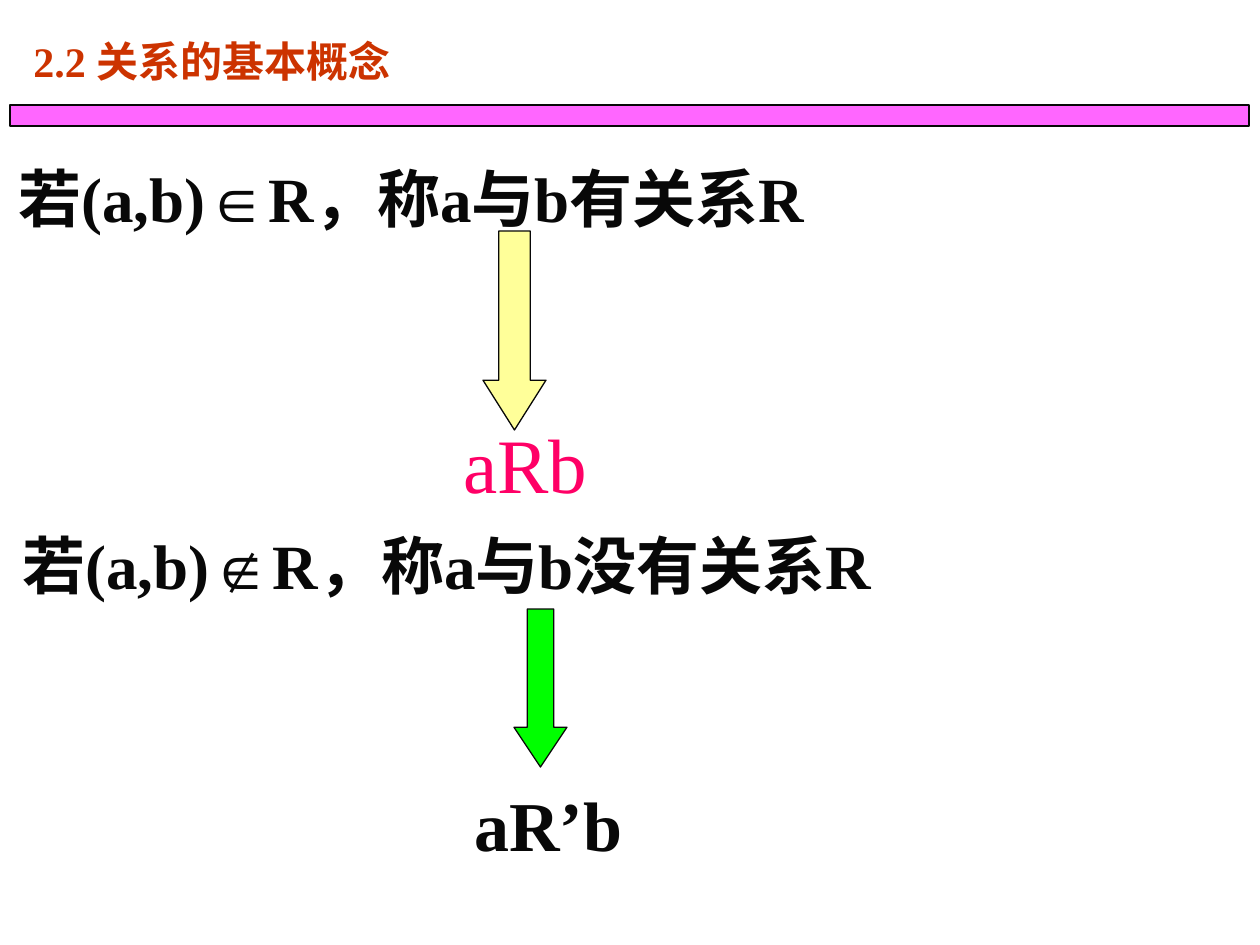
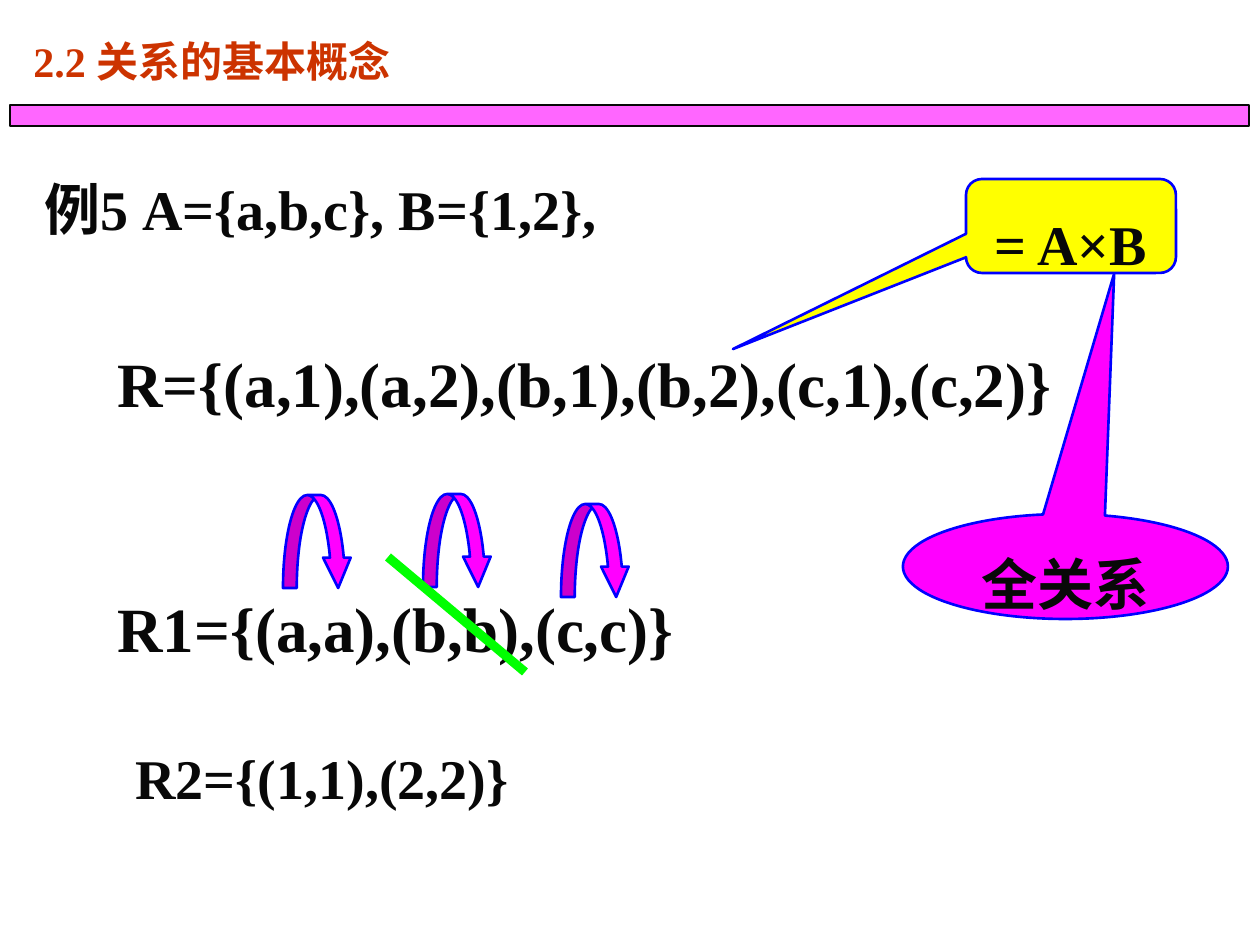
"""Build two slides on the basic notions of relations."""
import dataclasses
import itertools

import lxml.etree
import pptx
import pptx.dml.color
import pptx.enum.shapes
import pptx.enum.text
import pptx.oxml.ns
import pptx.util

SCALE = 914400 / 126
SHAPE = pptx.enum.shapes.MSO_SHAPE
qn = pptx.oxml.ns.qn


@dataclasses.dataclass(frozen=True)
class Theme:
    ink: str = "080808"
    title: str = "CC3300"
    pink: str = "FF0066"
    cream: str = "FFFF99"
    green: str = "00FF00"
    yellow: str = "FFFF00"
    magenta: str = "FF00FF"
    blue: str = "0000FF"
    latin: str = "Times New Roman"
    han: str = "Noto Sans CJK SC"
    label: str = "Arial"
    small: int = 24
    medium: int = 32
    large: int = 36
    huge: int = 40
    giant: int = 44
    thin: float = 0.75
    edge: float = 1.5
    thick: float = 5.25


THEME = Theme()


def px(count):
    return pptx.util.Emu(round(count * SCALE))


def rgb(code):
    return pptx.dml.color.RGBColor.from_string(code)


def is_han(char):
    return char >= "\u2e80"


def add_text(para, text, size, color=THEME.ink, bold=True, han=THEME.han):
    for wide, chars in itertools.groupby(text, is_han):
        run = para.add_run()
        run.text = "".join(chars)
        font = run.font
        font.size, font.bold = pptx.util.Pt(size), bold
        font.color.rgb = rgb(color)
        font.name = han if wide else THEME.latin
        east = lxml.etree.SubElement(run._r.get_or_add_rPr(), qn("a:ea"))
        east.set("typeface", font.name)


def add_box(slide, place, text, size, wrap=True, gap=None, **style):
    frame = slide.shapes.add_textbox(*map(px, place)).text_frame
    frame.word_wrap = wrap
    frame.auto_size = pptx.enum.text.MSO_AUTO_SIZE.SHAPE_TO_FIT_TEXT
    para = frame.paragraphs[0]
    para.line_spacing = gap
    add_text(para, text, size, **style)


def add_form(slide, kind, place, fill, line, width, adjust=()):
    form = slide.shapes.add_shape(kind, *map(px, place))
    form.shadow.inherit = False
    form.fill.solid()
    form.fill.fore_color.rgb = rgb(fill)
    form.line.color.rgb = rgb(line)
    form.line.width = pptx.util.Pt(width)
    for index, value in enumerate(adjust):
        form.adjustments[index] = value
    return form


def add_callout(slide, kind, place, fill, adjust, text, **style):
    form = add_form(slide, kind, place, fill, THEME.blue, THEME.edge, adjust)
    frame = form.text_frame
    frame.word_wrap = True
    frame.vertical_anchor = pptx.enum.text.MSO_ANCHOR.MIDDLE
    para = frame.paragraphs[0]
    para.alignment = pptx.enum.text.PP_ALIGN.CENTER
    para.line_spacing = 1.5
    add_text(para, text, THEME.medium, **style)


def add_arrow(slide, place, fill, head):
    add_form(slide, SHAPE.DOWN_ARROW, place, fill, THEME.ink, THEME.thin, (0.5, head))


def add_loop(slide, left, top):
    add_form(slide, SHAPE.CURVED_DOWN_ARROW, (left, top, 69, 93), THEME.magenta,
             THEME.blue, THEME.edge, (0.2, 0.4, 0.44))


def add_strike(slide, *ends):
    line = slide.shapes.add_connector(
        pptx.enum.shapes.MSO_CONNECTOR.STRAIGHT, *map(px, ends))
    line.line.color.rgb = rgb(THEME.green)
    line.line.width = pptx.util.Pt(THEME.thick)
    lxml.etree.SubElement(line._element.spPr, qn("a:effectLst"))


def add_page(deck):
    slide = deck.slides.add_slide(deck.slide_layouts[6])
    band = add_form(slide, SHAPE.RECTANGLE, (10, 105, 1239, 21),
                    THEME.magenta, THEME.ink, THEME.thin)
    tint = band._element.spPr.find(qn("a:solidFill")).find(qn("a:srgbClr"))
    lxml.etree.SubElement(tint, qn("a:alpha")).set("val", "60000")
    add_box(slide, (21, 29, 558, 63), "2.2 关系的基本概念", THEME.small,
            color=THEME.title)
    return slide


def build_terms(deck):
    slide = add_page(deck)
    add_box(slide, (6, 116, 1250, 126), "若(a,b)∈R，称a与b有关系R",
            THEME.large, gap=1.5)
    add_box(slide, (10, 520, 987, 88), "若(a,b)∉R，称a与b没有关系R", THEME.large)
    add_arrow(slide, (483, 231, 63, 199), THEME.cream, 0.79)
    add_box(slide, (451, 410, 150, 105), "aRb", THEME.giant, wrap=False,
            color=THEME.pink, bold=False)
    add_box(slide, (462, 775, 174, 97), "aR’b", THEME.huge, wrap=False)
    add_arrow(slide, (514, 609, 53, 158), THEME.green, 0.75)


def build_sample(deck):
    slide = add_page(deck)
    add_box(slide, (32, 168, 796, 79), "例5 A={a,b,c}, B={1,2},", THEME.medium)
    add_box(slide, (105, 338, 959, 88), "R={(a,1),(a,2),(b,1),(b,2),(c,1),(c,2)}",
            THEME.large, wrap=False)
    add_callout(slide, SHAPE.ROUNDED_RECTANGULAR_CALLOUT, (966, 179, 210, 94),
                THEME.yellow, (-1.61, 1.31, 0.17), "= A×B")
    add_callout(slide, SHAPE.OVAL_CALLOUT, (903, 514, 325, 105),
                THEME.magenta, (0.15, -2.79), "全关系", han=THEME.label)
    add_box(slide, (105, 546, 684, 126), "R1={(a,a),(b,b),(c,c)}",
            THEME.large, gap=1.5)
    for left, top in ((423, 494), (561, 504), (283, 495)):
        add_loop(slide, left, top)
    add_box(slide, (123, 704, 621, 113), "R2={(1,1),(2,2)}", THEME.medium, gap=1.5)
    add_strike(slide, 388, 557, 525, 672)


def main():
    deck = pptx.Presentation()
    deck.slide_width, deck.slide_height = px(1260), px(945)
    build_terms(deck)
    build_sample(deck)
    deck.save("out.pptx")


if __name__ == "__main__":
    main()
